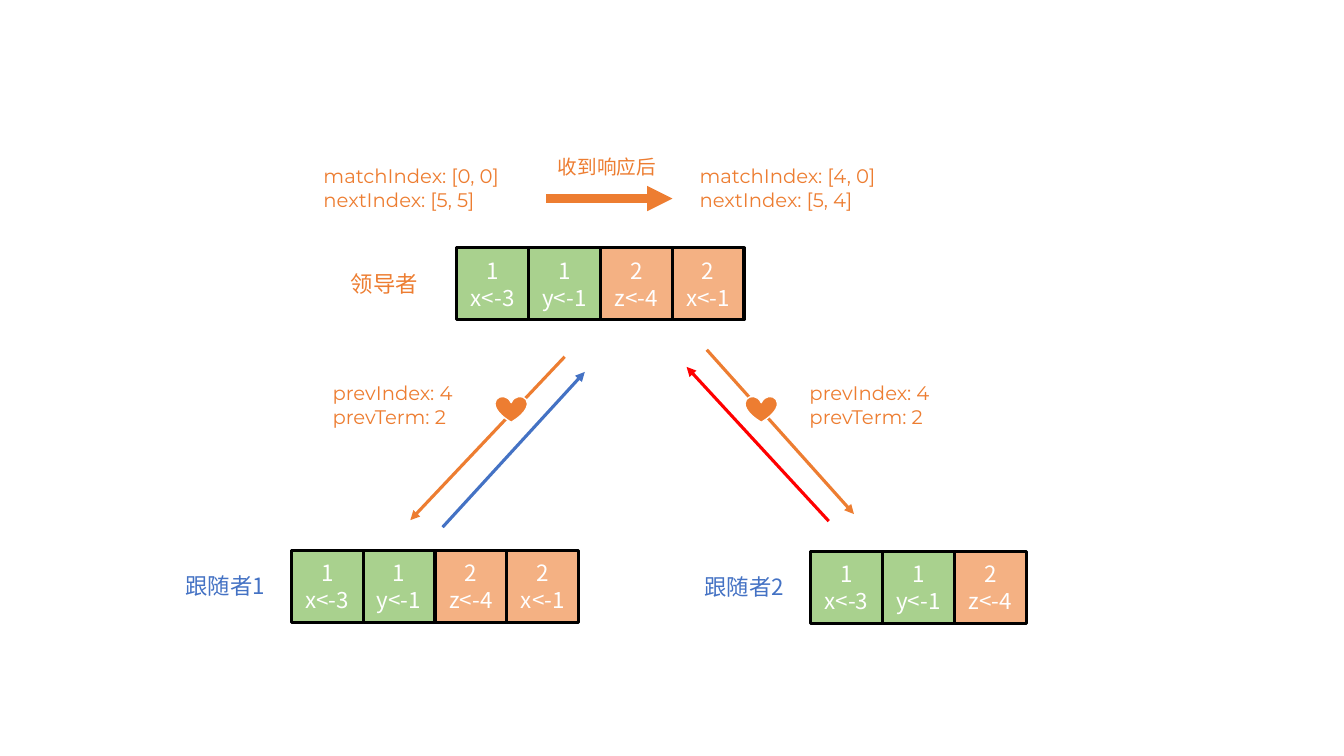
from pptx import Presentation
from pptx.dml.color import RGBColor
from pptx.enum.dml import MSO_LINE
from pptx.enum.shapes import MSO_CONNECTOR, MSO_SHAPE
from pptx.enum.text import MSO_ANCHOR, MSO_AUTO_SIZE, PP_ALIGN
from pptx.oxml.ns import qn
from pptx.util import Inches, Pt
from lxml.etree import SubElement

GREEN = RGBColor(0xA9, 0xD1, 0x8E)
PEACH = RGBColor(0xF4, 0xB1, 0x83)
ORANGE = RGBColor(0xED, 0x7D, 0x31)
BLUE = RGBColor(0x44, 0x72, 0xC4)
RED = RGBColor(0xFF, 0x00, 0x00)
BLACK = RGBColor(0x00, 0x00, 0x00)
WHITE = RGBColor(0xFF, 0xFF, 0xFF)

CJK_FONT = "Noto Sans CJK SC"
LATIN_FONT = "Montserrat"
CELL = 0.7125
TERM_FILLS = {1: GREEN, 2: PEACH}
LOG = [(1, "x<-3"), (1, "y<-1"), (2, "z<-4"), (2, "x<-1")]


def write_lines(frame, lines, font_name, size, color, align=PP_ALIGN.LEFT):
    frame.word_wrap = True
    for index, line in enumerate(lines):
        paragraph = frame.add_paragraph() if index else frame.paragraphs[0]
        paragraph.text = line
        paragraph.alignment = align
        font = paragraph.font
        font.name = font_name
        font.size = Pt(size)
        font.color.rgb = color
        properties = paragraph._p.pPr.find(qn("a:defRPr"))
        SubElement(properties, qn("a:ea")).set("typeface", font_name)


def add_label(page, left, top, width, height, lines, color=ORANGE,
              font_name=LATIN_FONT, size=14, align=PP_ALIGN.LEFT):
    box = page.shapes.add_textbox(Inches(left), Inches(top), Inches(width), Inches(height))
    write_lines(box.text_frame, lines, font_name, size, color, align)
    box.text_frame.auto_size = MSO_AUTO_SIZE.SHAPE_TO_FIT_TEXT


def add_filled_shape(page, kind, left, top, width, height, fill, line, line_width):
    shape = page.shapes.add_shape(kind, Inches(left), Inches(top), Inches(width), Inches(height))
    shape.shadow.inherit = False
    shape.fill.solid()
    shape.fill.fore_color.rgb = fill
    shape.line.color.rgb = line
    shape.line.width = Pt(line_width)
    return shape


def add_log(page, left, top, entries):
    """Draw a row of log entries, each showing its term and its command."""
    for index, (term, command) in enumerate(entries):
        cell = add_filled_shape(page, MSO_SHAPE.RECTANGLE, left + index * CELL, top,
                                CELL, CELL, TERM_FILLS[term], BLACK, 2.25)
        cell.text_frame.vertical_anchor = MSO_ANCHOR.MIDDLE
        write_lines(cell.text_frame, [str(term), command], CJK_FONT, 16, WHITE,
                    PP_ALIGN.CENTER)


def add_server(page, name, color, log_left, log_top, entries):
    add_log(page, log_left, log_top, entries)
    add_label(page, log_left - 1.15, log_top + 0.17, 1.01, 0.37, [name], color, CJK_FONT, 16)


def add_arrow(page, start, end, color, width=2.25):
    arrow = page.shapes.add_connector(MSO_CONNECTOR.STRAIGHT,
                                      *(Inches(value) for value in (*start, *end)))
    arrow.line.color.rgb = color
    arrow.line.width = Pt(width)
    arrow.line.dash_style = MSO_LINE.SOLID
    properties = arrow._element.spPr
    SubElement(properties.find(qn("a:ln")), qn("a:tailEnd")).set("type", "triangle")
    SubElement(properties, qn("a:effectLst"))


def main():
    deck = Presentation()
    deck.slide_width = Inches(13.33)
    deck.slide_height = Inches(7.5)
    page = deck.slides.add_slide(deck.slide_layouts[6])

    add_server(page, "领导者", ORANGE, 4.53, 2.46, LOG)
    add_server(page, "跟随者1", BLUE, 2.89, 5.46, LOG)
    add_server(page, "跟随者2", BLUE, 8.04, 5.47, LOG[:3])

    for left, width, match, following in [(3.11, 2.13, "[0, 0]", "[5, 5]"),
                                          (6.84, 2.11, "[4, 0]", "[5, 4]")]:
        add_label(page, left, 1.58, width, 0.57,
                  [f"matchIndex: {match}", f"nextIndex: {following}"])
    add_label(page, 5.16, 1.49, 1.72, 0.34, ["收到响应后"], font_name=CJK_FONT,
              align=PP_ALIGN.CENTER)
    add_arrow(page, (5.42, 1.97), (6.67, 1.97), ORANGE, 6)

    for start, end, color in [((5.6, 3.54), (4.07, 5.16), ORANGE),
                              ((7.01, 3.47), (8.47, 5.1), ORANGE),
                              ((4.39, 5.23), (5.8, 3.69), BLUE),
                              ((8.22, 5.17), (6.81, 3.64), RED)]:
        add_arrow(page, start, end, color)

    for label_left, label_width, heart_left in [(3.2, 1.68, 4.91), (7.93, 1.59, 7.39)]:
        add_label(page, label_left, 3.73, label_width, 0.57, ["prevIndex: 4", "prevTerm: 2"])
        add_filled_shape(page, MSO_SHAPE.HEART, heart_left, 3.93, 0.32, 0.26, ORANGE, WHITE, 1)

    deck.save("out.pptx")


if __name__ == "__main__":
    main()
